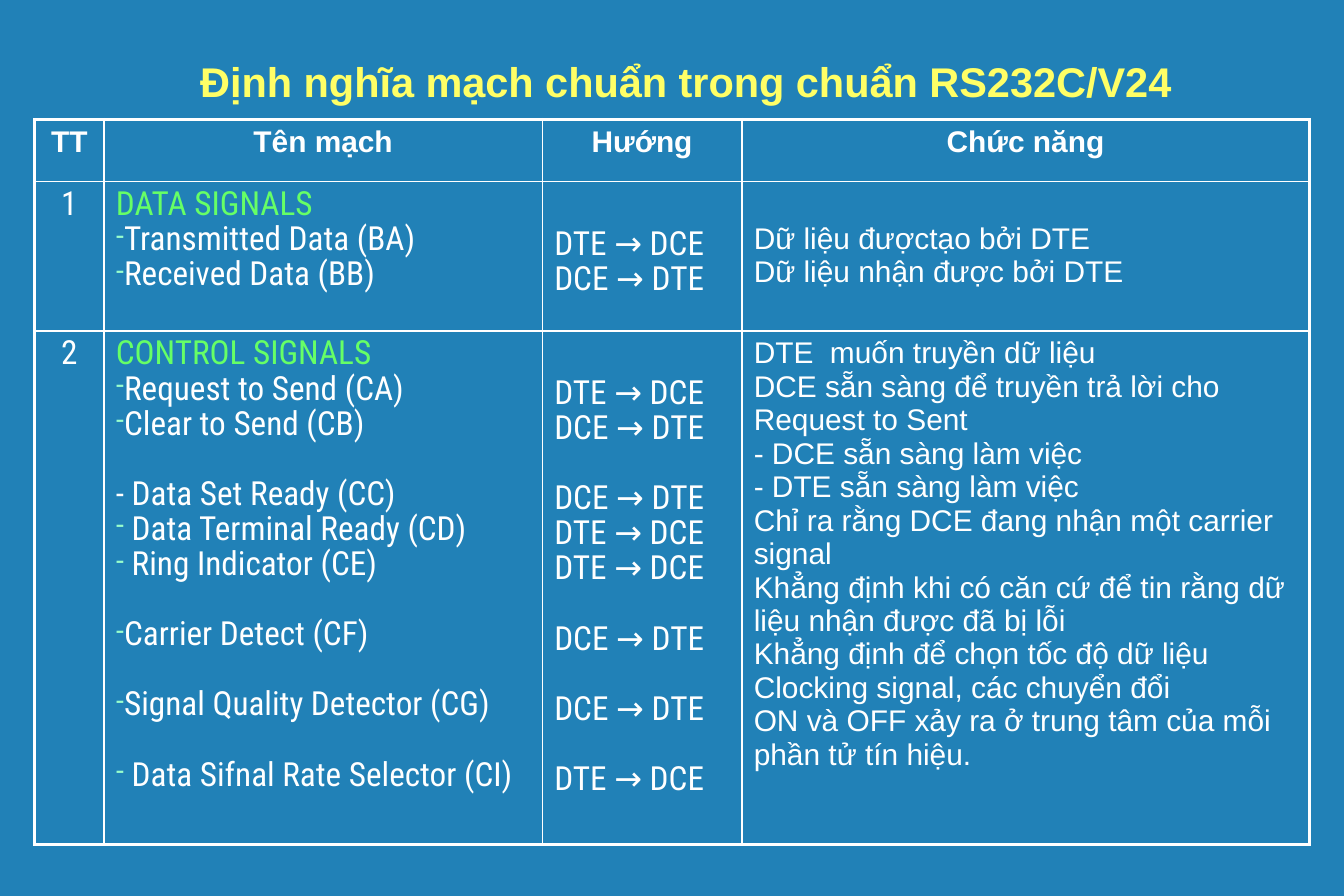
from lxml.etree import SubElement
from pptx import Presentation
from pptx.dml.color import RGBColor
from pptx.enum.text import MSO_ANCHOR, MSO_AUTO_SIZE, PP_ALIGN
from pptx.oxml.ns import qn
from pptx.util import Inches, Pt

BLUE = RGBColor(0x21, 0x81, 0xB7)
WHITE = RGBColor(0xFF, 0xFF, 0xFF)
YELLOW = RGBColor(0xFF, 0xFF, 0x66)
GREEN = RGBColor(0x66, 0xFF, 0x66)
MINT = RGBColor(0x99, 0xFF, 0xCC)
SANS = "Arial"
CONDENSED = "Roboto Condensed"
GROUP_GAP = Pt(21.1)
TO_DCE = "DTE → DCE"
TO_DTE = "DCE → DTE"

HEADERS = ["TT", "Tên mạch", "Hướng", "Chức năng"]
CIRCUITS = [
    {
        "heading": "DATA SIGNALS",
        "names": [["Transmitted Data (BA)", "Received Data (BB)"]],
        "directions": [[TO_DCE, TO_DTE]],
        "functions": ["Dữ liệu đượctạo bởi DTE", "Dữ liệu nhận được bởi DTE"],
        "function_top": 0.34,
    },
    {
        "heading": "CONTROL SIGNALS",
        "names": [
            ["Request to Send (CA)", "Clear to Send (CB)"],
            ["- Data Set Ready (CC)", " Data Terminal Ready (CD)", " Ring Indicator (CE)"],
            ["Carrier Detect (CF)"],
            ["Signal Quality Detector (CG)"],
            [" Data Sifnal Rate Selector (CI)"],
        ],
        "directions": [[TO_DCE, TO_DTE], [TO_DTE, TO_DCE, TO_DCE], [TO_DTE], [TO_DTE], [TO_DCE]],
        "functions": [
            "DTE  muốn truyền dữ liệu",
            "DCE sẵn sàng để truyền trả lời cho Request to Sent",
            "- DCE sẵn sàng làm việc",
            "- DTE sẵn sàng làm việc",
            "Chỉ ra rằng DCE đang nhận một carrier signal",
            "Khẳng định khi có căn cứ để tin rằng dữ liệu nhận được đã bị lỗi",
            "Khẳng định để chọn tốc độ dữ liệu",
            "Clocking signal, các chuyển đổi",
            "ON và OFF xảy ra ở trung tâm của mỗi phần tử tín hiệu.",
        ],
        "function_top": 0.05,
    },
]


def add_line(frame, text, size, font, color=WHITE, bold=False, align=PP_ALIGN.LEFT, gap=0):
    paragraph = frame.paragraphs[0]
    if paragraph.runs:
        paragraph = frame.add_paragraph()
    paragraph.alignment = align
    paragraph.space_before = gap
    paragraph.line_spacing = 0.9 if font == CONDENSED else 1.0
    run = paragraph.add_run()
    run.text = text
    run.font.size = Pt(size)
    run.font.name = font
    run.font.bold = bold
    run.font.color.rgb = color
    return paragraph


def add_dash(paragraph):
    properties = paragraph._p.get_or_add_pPr()
    properties.set("marL", "0")
    properties.set("indent", "0")
    bullet_color = SubElement(properties, qn("a:buClr"))
    SubElement(bullet_color, qn("a:srgbClr"), val=str(MINT))
    SubElement(properties, qn("a:buSzPct"), val="75000")
    SubElement(properties, qn("a:buChar"), char="-")


presentation = Presentation()
presentation.slide_width = Inches(11.25)
presentation.slide_height = Inches(7.5)
slide = presentation.slides.add_slide(presentation.slide_layouts[5])
slide.background.fill.solid()
slide.background.fill.fore_color.rgb = BLUE

title = slide.shapes.title
title.left, title.top, title.width, title.height = Inches(1.53), Inches(0.42), Inches(8.42), Inches(0.52)
title_frame = title.text_frame
title_frame.auto_size = MSO_AUTO_SIZE.NONE
title_frame.word_wrap = False
title_frame.vertical_anchor = MSO_ANCHOR.MIDDLE
add_line(title_frame, "Định nghĩa mạch chuẩn trong chuẩn RS232C/V24", 25, SANS, YELLOW, True, PP_ALIGN.CENTER)

table = slide.shapes.add_table(3, 4, Inches(0.29), Inches(1), Inches(10.67), Inches(6.07)).table
table.first_row = False
table.horz_banding = False
for column, width in zip(table.columns, [0.58, 3.67, 1.67, 4.75]):
    column.width = Inches(width)
for row, height in zip(table.rows, [0.52, 1.25, 4.3]):
    row.height = Inches(height)

for row_index in range(3):
    for column_index in range(4):
        cell = table.cell(row_index, column_index)
        cell.margin_left = cell.margin_right = Inches(0.1)
        cell.margin_top = cell.margin_bottom = Inches(0.05)
        cell_properties = cell._tc.get_or_add_tcPr()
        outer_edges = {
            "a:lnL": column_index == 0,
            "a:lnR": column_index == 3,
            "a:lnT": row_index == 0,
            "a:lnB": row_index == 2,
        }
        for edge, is_outer in outer_edges.items():
            border = SubElement(cell_properties, qn(edge), w=str(Pt(2.25 if is_outer else 1)))
            border_fill = SubElement(border, qn("a:solidFill"))
            SubElement(border_fill, qn("a:srgbClr"), val=str(WHITE))
        cell.fill.background()

for column_index, header in enumerate(HEADERS):
    add_line(table.cell(0, column_index).text_frame, header, 18, SANS, bold=True, align=PP_ALIGN.CENTER)

for number, circuit in enumerate(CIRCUITS, 1):
    number_cell, name_cell, direction_cell, function_cell = table.rows[number].cells
    add_line(number_cell.text_frame, str(number), 20, CONDENSED, align=PP_ALIGN.CENTER)

    add_line(name_cell.text_frame, circuit["heading"], 20, CONDENSED, GREEN)
    direction_cell.margin_top = Inches(0.38)
    for group_index, (names, directions) in enumerate(zip(circuit["names"], circuit["directions"])):
        for line_index, (name, direction) in enumerate(zip(names, directions)):
            gap = GROUP_GAP if group_index > 0 and line_index == 0 else 0
            paragraph = add_line(name_cell.text_frame, name, 20, CONDENSED, gap=gap)
            if not name.startswith("-"):
                add_dash(paragraph)
            add_line(direction_cell.text_frame, direction, 20, CONDENSED, gap=gap)

    function_cell.margin_top = Inches(circuit["function_top"])
    for function in circuit["functions"]:
        add_line(function_cell.text_frame, function, 18, SANS)

presentation.save("out.pptx")
